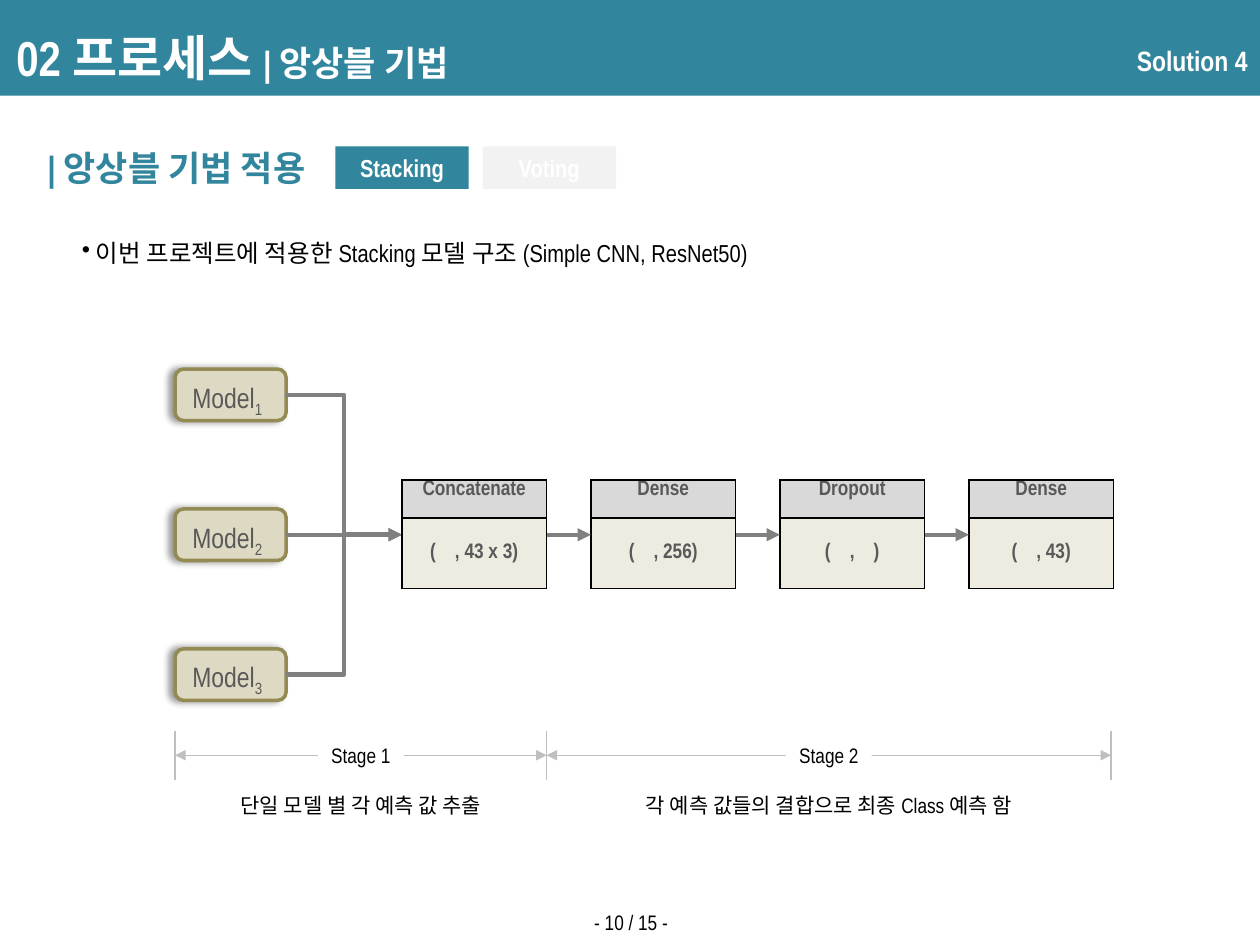
from lxml import etree
from pptx import Presentation
from pptx.dml.color import RGBColor
from pptx.enum import shapes, text
from pptx.oxml import ns
from pptx.util import Cm, Pt

FONT = "Arial Narrow"
COLORS = {
    "teal": "31859C", "white": "FFFFFF", "black": "000000", "pale": "F2F2F2",
    "tan": "DDD9C3", "olive": "948A54", "ink": "595959", "arrow": "808080",
    "head": "D9D9D9", "body": "EEECE1", "rule": "BFBFBF",
}
TITLE = [("02 프로세스 ", 28), ("| 앙상블 기법", 20)]
TAGS = [("Stacking", "teal"), ("Voting", "pale")]
BULLET = " 이번 프로젝트에 적용한 Stacking 모델 구조 (Simple CNN, ResNet50)"
MODELS = ["1", "2", "3"]
LAYERS = [
    ("Concatenate", "(    , 43 x 3)"),
    ("Dense", "(    , 256)"),
    ("Dropout", "(    ,    )"),
    ("Dense", "(    , 43)"),
]
STAGES = [
    ("Stage 1", "단일 모델 별 각 예측 값 추출", 3.53, 11.02),
    ("Stage 2", "각 예측 값들의 결합으로 최종 Class 예측 함", 11.02, 22.4),
]

# Centimetres
TAG_X, TAG_Y, TAG_W, TAG_H, TAG_STEP = 6.76, 2.95, 2.69, 0.86, 2.97
MODEL_X, MODEL_Y, MODEL_W, MODEL_H, MODEL_STEP = 3.53, 7.44, 2.24, 1.04, 2.82
LAYER_X, LAYER_Y, LAYER_W, LAYER_STEP = 8.1, 9.68, 2.92, 3.81
LAYER_ROWS = (0.76, 1.42)
FLOW_Y = MODEL_Y + MODEL_STEP + MODEL_H / 2
TICK_TOP, TICK_BOTTOM = 14.73, 15.72
STAGE_W, STAGE_H, CAPTION_Y = 1.73, 0.76, 15.86

ALIGN = text.PP_ALIGN
MIDDLE = text.MSO_ANCHOR.MIDDLE
STRAIGHT = shapes.MSO_CONNECTOR.STRAIGHT
ELBOW = shapes.MSO_CONNECTOR.ELBOW
RECT = shapes.MSO_SHAPE.RECTANGLE

prs = Presentation()
prs.slide_width, prs.slide_height = Cm(25.4), Cm(19.05)
s = prs.slides.add_slide(prs.slide_layouts[6])


def rgb(name):
    return RGBColor.from_string(COLORS[name])


def add_xml(parent, tag, **attrs):
    return etree.SubElement(parent, ns.qn(tag), attrs)


def style(p, size, color, bold=False, align=ALIGN.LEFT):
    p.alignment = align
    p.font.name, p.font.bold = FONT, bold
    p.font.color.rgb = rgb(color)
    if size:
        p.font.size = Pt(size)


def add_text(box, content, size, color, bold=False, align=ALIGN.LEFT,
             anchor=text.MSO_ANCHOR.TOP, wrap=False):
    sp = s.shapes.add_textbox(*map(Cm, box))
    tf = sp.text_frame
    tf.word_wrap, tf.vertical_anchor = wrap, anchor
    p = tf.paragraphs[0]
    p.text = content
    style(p, size, color, bold, align)
    return p


def add_box(box, fill, kind=RECT, line=None):
    sp = s.shapes.add_shape(kind, *map(Cm, box))
    sp.shadow.inherit = False
    sp.fill.solid()
    sp.fill.fore_color.rgb = rgb(fill)
    if line:
        sp.line.color.rgb, sp.line.width = rgb(line), Pt(2)
    else:
        sp.line.fill.background()
    return sp


def label(sp, content, size, color, bold=False):
    tf = sp.text_frame
    tf.word_wrap, tf.vertical_anchor = False, MIDDLE
    tf.paragraphs[0].text = content
    style(tf.paragraphs[0], size, color, bold, ALIGN.CENTER)


def add_line(x1, y1, x2, y2, color, width, ends=(), kind=STRAIGHT):
    """ends lists the arrowhead elements, headEnd before tailEnd."""
    c = s.shapes.add_connector(kind, Cm(x1), Cm(y1), Cm(x2), Cm(y2))
    c.line.color.rgb, c.line.width = rgb(color), Pt(width)
    for end in ends:
        add_xml(c.line._get_or_add_ln(), end, type="triangle")
    add_xml(c._element.spPr, "a:effectLst")
    return c


def add_model(number, y):
    sp = add_box((MODEL_X, y, MODEL_W, MODEL_H), "tan",
                 shapes.MSO_SHAPE.ROUNDED_RECTANGLE, "olive")
    effects = sp._element.spPr.find(ns.qn("a:effectLst"))
    shadow = add_xml(effects, "a:outerShdw", blurRad=str(Pt(4)),
                     dist=str(Pt(3)), dir="10800000", rotWithShape="0")
    tint = add_xml(shadow, "a:srgbClr", val=COLORS["black"])
    add_xml(tint, "a:alpha", val="40000")
    p = add_text((MODEL_X + 0.1, y + 0.1, 1.96, 0.94), "Model", 16, "ink")
    r = p.add_run()
    r.text = number
    r._r.get_or_add_rPr().set("baseline", "-25000")
    return sp


def add_layer(rows, x):
    table = s.shapes.add_table(2, 1, Cm(x), Cm(LAYER_Y), Cm(LAYER_W),
                               Cm(sum(LAYER_ROWS))).table
    table.first_row = table.horz_banding = False
    for i, (content, fill) in enumerate(zip(rows, ("head", "body"))):
        table.rows[i].height = Cm(LAYER_ROWS[i])
        cell = table.cell(i, 0)
        cell.text = content
        style(cell.text_frame.paragraphs[0], 12, "ink", True, ALIGN.CENTER)
        if i:
            cell.vertical_anchor = MIDDLE
        else:
            cell.margin_top = 0
        tcPr = cell._tc.get_or_add_tcPr()
        for side in ("a:lnL", "a:lnR", "a:lnT", "a:lnB"):
            solid = add_xml(add_xml(tcPr, side, w=str(Pt(1))), "a:solidFill")
            add_xml(solid, "a:srgbClr", val=COLORS["black"])
        cell.fill.solid()
        cell.fill.fore_color.rgb = rgb(fill)


# Header, page number and heading
add_box((0, 0, 25.4, 1.93), "teal")
p = add_text((0.08, 0.48, 19.96, 1.32), "", None, "white", True,
             anchor=MIDDLE, wrap=True)
for content, size in TITLE:
    r = p.add_run()
    r.text, r.font.size = content, Pt(size)
add_text((20.8, 0.56, 4.6, 1.32), "Solution 4", 16, "white", True,
         ALIGN.RIGHT, MIDDLE, True)
add_text((11.73, 18.21, 2.11, 0.76), "- 10 / 15 -", 12, "black")
add_text((0.71, 2.82, 6.05, 1.12), "| 앙상블 기법 적용", 20, "teal", True)
for i, (name, fill) in enumerate(TAGS):
    tag = add_box((TAG_X + i * TAG_STEP, TAG_Y, TAG_W, TAG_H), fill)
    label(tag, name, 14, "white", True)
p = add_text((1.4, 4.67, 14.12, 0.86), BULLET, 14, "black", wrap=True)
pPr = p._p.get_or_add_pPr()
pPr.insert(0, pPr.makeelement(ns.qn("a:buChar"), {"char": "•"}))

# Models feeding the chain of layers
for i, number in enumerate(MODELS):
    y = MODEL_Y + i * MODEL_STEP
    model = add_model(number, y)
    center = y + MODEL_H / 2
    level = i == 1
    c = add_line(MODEL_X + MODEL_W, center, LAYER_X, FLOW_Y, "arrow", 2.5,
                 ["a:tailEnd"], STRAIGHT if level else ELBOW)
    if level:
        c.begin_connect(model, 3)
for i, rows in enumerate(LAYERS):
    x = LAYER_X + i * LAYER_STEP
    add_layer(rows, x)
    if i:
        add_line(x - LAYER_STEP + LAYER_W, FLOW_Y, x, FLOW_Y, "arrow", 2.5,
                 ["a:tailEnd"])

# Stage ruler
for x in (STAGES[0][2], STAGES[1][2], STAGES[1][3]):
    add_line(x, TICK_TOP, x, TICK_BOTTOM, "rule", 0.75)
ruler_y = (TICK_TOP + TICK_BOTTOM) / 2
for name, caption, left, right in STAGES:
    add_line(left, ruler_y, right, ruler_y, "rule", 0.75,
             ["a:headEnd", "a:tailEnd"])
    mid = (left + right) / 2
    stage = add_box((mid - STAGE_W / 2, ruler_y - STAGE_H / 2,
                     STAGE_W, STAGE_H), "white")
    label(stage, name, 12, "black")
    add_text((left, CAPTION_Y, right - left, STAGE_H), caption, 12, "black",
             align=ALIGN.CENTER)

prs.save("out.pptx")
